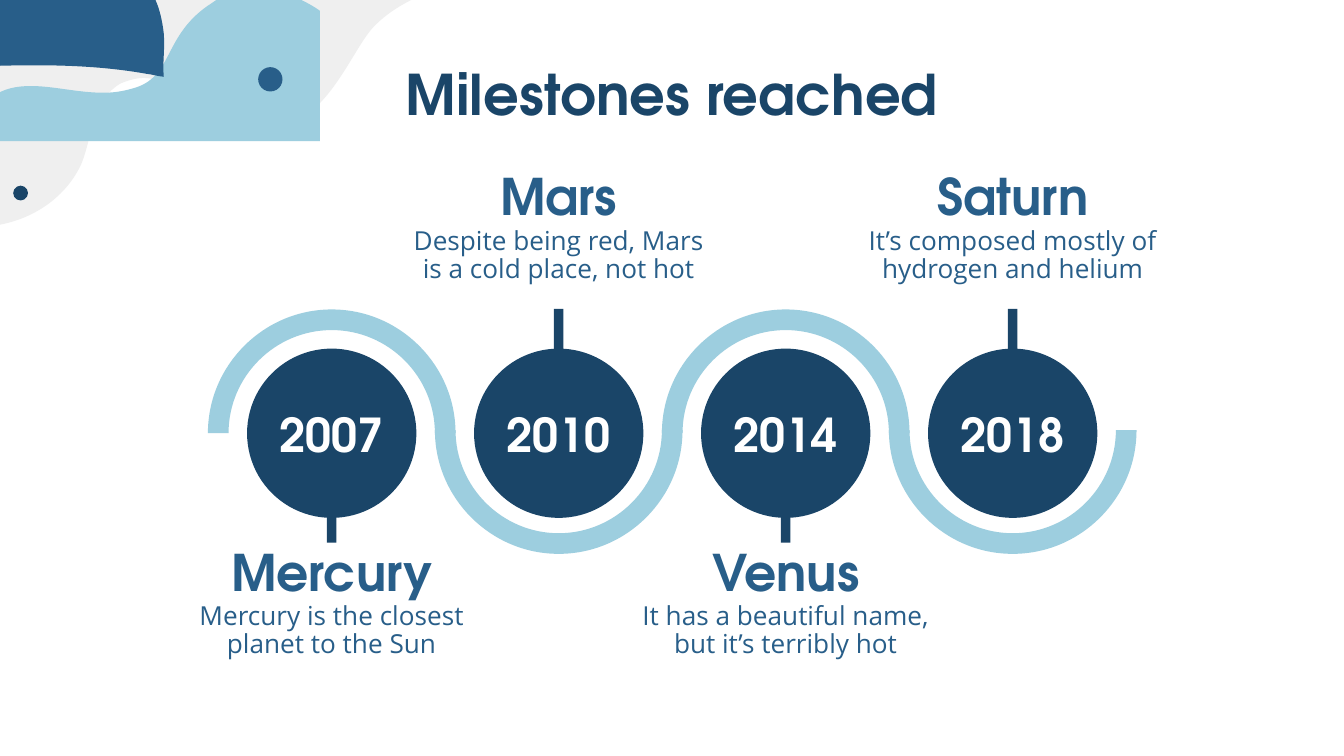
from lxml.etree import SubElement
from pptx import Presentation
from pptx.dml.color import RGBColor
from pptx.enum.shapes import MSO_SHAPE as Preset
from pptx.enum.text import MSO_ANCHOR as Anchor, PP_ALIGN as Align
from pptx.oxml.ns import qn
from pptx.util import Cm, Pt

NAVY = RGBColor(0x1A, 0x45, 0x68)
BLUE = RGBColor(0x28, 0x5E, 0x89)
SKY = RGBColor(0x9D, 0xCE, 0xDF)
GREY = RGBColor(0xEF, 0xEF, 0xEF)
WHITE = RGBColor(0xFF, 0xFF, 0xFF)

# Content
TITLE = "Milestones reached"
MILESTONES = [
    ("2007", "Mercury", "Mercury is the closest planet to the Sun"),
    ("2010", "Mars", "Despite being red, Mars is a cold place, not hot"),
    ("2014", "Venus", "It has a beautiful name, but it’s terribly hot"),
    ("2018", "Saturn", "It’s composed mostly of hydrogen and helium"),
]

# Text formats
HEAD_FONT, BODY_FONT = "TeX Gyre Adventor", "Open Sans"
TITLE_FORMAT = {"name": HEAD_FONT, "size": Pt(30), "bold": True}
PLANET_FORMAT = {"name": HEAD_FONT, "size": Pt(27), "bold": True}
YEAR_FORMAT = {"name": HEAD_FONT, "size": Pt(25), "bold": True}
BODY_FORMAT = {"name": BODY_FONT, "size": Pt(14), "bold": False}

# Corner blobs: colour, rotation, start point, then curves of three points
# or lines of one point, on a grid of one inch
GRID = Cm(2.54)
BLOBS = [
    (GREY, 0, (3.05, -0.13), [
        [(3.21, -0.13), (3.35, -0.12), (3.34, -0.09)],
        [(3.32, -0.06), (3.11, -0.02), (3.06, 0)],
        [(2.96, 0.05), (2.87, 0.11), (2.79, 0.19)],
        [(2.61, 0.37), (2.45, 0.91), (2, 0.98)],
        [(1.97, 0.98), (1.95, 0.98), (1.93, 0.98)],
        [(1.62, 0.98), (1.36, 0.7), (1.24, 0.63)],
        [(1.19, 0.6), (1.13, 0.58), (1.07, 0.58)],
        [(1.01, 0.58), (0.95, 0.6), (0.9, 0.62)],
        [(0.69, 0.74), (0.69, 1), (0.61, 1.21)],
        [(0.5, 1.46), (0.25, 1.64), (-0.05, 1.68)],
        [(-0.03, 1.12), (-0.07, 0.57), (-0.15, 0.02)],
        [(0.23, -0.04), (0.63, -0.06), (1.02, -0.07)],
        [(1.56, -0.08), (2.11, -0.1), (2.65, -0.12)],
        [(2.69, -0.12), (2.88, -0.13), (3.05, -0.13)],
    ]),
    (SKY, 180, (0.21, 1.05), [
        [(-0.05, 1.05), (-0.26, 0.89), (-0.26, 0.89)],
        [(-0.26, -0.08)],
        [(2.38, -0.08)],
        [(2.27, 0.26), (2.1, 0.33), (1.89, 0.33)],
        [(1.72, 0.33), (1.54, 0.28), (1.35, 0.28)],
        [(1.28, 0.28), (1.21, 0.29), (1.14, 0.31)],
        [(0.82, 0.39), (0.92, 0.71), (0.54, 0.95)],
        [(0.43, 1.03), (0.32, 1.05), (0.21, 1.05)],
    ]),
    (BLUE, 185.3, (0.7, 0.54), [
        [(0.75, 0.55), (0.79, 0.55), (0.84, 0.54)],
        [(1.03, 0.52), (1.21, 0.33), (1.24, 0.14)],
        [(1.26, 0), (1.22, -0.21), (1.07, -0.33)],
        [(1.01, -0.37), (0.96, -0.39), (0.91, -0.39)],
        [(0.87, -0.39), (0.83, -0.39), (0.79, -0.39)],
        [(0.33, -0.33), (-0.14, -0.27), (-0.61, -0.31)],
        [(-0.65, -0.31), (-0.69, -0.32), (-0.74, -0.32)],
        [(-0.72, -0.22), (-0.73, -0.11), (-0.71, 0)],
        [(-0.69, 0.1), (-0.64, 0.27), (-0.55, 0.33)],
        [(-0.52, 0.34), (-0.5, 0.35), (-0.47, 0.35)],
        [(-0.35, 0.36), (-0.22, 0.25), (-0.04, 0.26)],
        [(-0.03, 0.26), (-0.03, 0.26), (-0.02, 0.26)],
        [(0.22, 0.29), (0.41, 0.52), (0.7, 0.54)],
    ]),
]
# Dots: colour, centre x, centre y, diameter in cm
DOTS = [(BLUE, 5.11, 1.5, 0.46), (SKY, 2.55, 2.08, 0.28), (NAVY, 0.39, 3.65, 0.28)]

# Timeline geometry in cm
FIRST_X, STEP, CENTRE_Y = 6.27, 4.29, 8.19
DISC, OUTER, INNER = 3.2, 2.34, 1.95
ARC_HANDLE = 0.55  # handle length of a quarter circle, as a share of the radius
# Tops of the bar, the planet name and the description
BELOW, ABOVE = (9.27, 10.31, 11.15), (5.84, 3.2, 4.06)

presentation = Presentation()
presentation.slide_width, presentation.slide_height = Cm(25.4), Cm(14.29)
slide = presentation.slides.add_slide(presentation.slide_layouts[6])


def paint(shape, colour):
    shape.shadow.inherit = False
    shape.fill.solid()
    shape.fill.fore_color.rgb = colour
    shape.line.fill.background()


def add_preset(preset, centre_x, top, width, height, colour):
    shape = slide.shapes.add_shape(
        preset, Cm(centre_x - width / 2), Cm(top), Cm(width), Cm(height))
    paint(shape, colour)


def add_outline(start, segments, unit, colour, rotation=0):
    points = [start] + [point for segment in segments for point in segment]
    scaled = [(x * unit, y * unit) for x, y in points]
    builder = slide.shapes.build_freeform(*scaled[0])
    builder.add_line_segments(scaled[1:], close=True)
    shape = builder.convert_to_shape()
    paint(shape, colour)
    shape.rotation = rotation
    # Turn each run of three points into one curve
    outline = next(shape.element.iter(qn("a:path")))
    lines = iter(outline.findall(qn("a:lnTo")))
    for segment in segments:
        group = [next(lines) for _ in segment]
        if len(group) == 3:
            curve = SubElement(outline, qn("a:cubicBezTo"))
            group[0].addprevious(curve)
            for line in group:
                curve.append(line[0])
                outline.remove(line)


def half_ring(centre_x, edge_y, side):
    def half_circle(radius, turn):
        handle = radius * ARC_HANDLE
        arcs = [[(radius, handle), (handle, radius), (0, radius)],
                [(-handle, radius), (-radius, handle), (-radius, 0)]]
        return [[(centre_x + turn * x, edge_y + side * y) for x, y in arc]
                for arc in arcs]

    inner_start = [(centre_x - INNER, edge_y)]
    segments = [*half_circle(OUTER, 1), inner_start, *half_circle(INNER, -1)]
    return (centre_x + OUTER, edge_y), segments


def add_text(text, centre_x, top, width, height, colour, font_format,
             anchor=Anchor.MIDDLE, spacing=1.0):
    box = slide.shapes.add_textbox(
        Cm(centre_x - width / 2), Cm(top), Cm(width), Cm(height))
    frame = box.text_frame
    frame.word_wrap = True
    frame.vertical_anchor = anchor
    for side in ("left", "top", "right", "bottom"):
        setattr(frame, f"margin_{side}", Cm(0.25))
    paragraph = frame.paragraphs[0]
    paragraph.alignment = Align.CENTER
    paragraph.line_spacing = spacing
    run = paragraph.add_run()
    run.text = text
    for name, value in font_format.items():
        setattr(run.font, name, value)
    run.font.color.rgb = colour


# Corner decoration
for colour, rotation, start, segments in BLOBS:
    add_outline(start, segments, GRID, colour, rotation)
for colour, x, y, size in DOTS:
    add_preset(Preset.OVAL, x, y - size / 2, size, size, colour)

# Title
add_text(TITLE, 12.7, 1.02, 13.56, 1.6, NAVY, TITLE_FORMAT, Anchor.TOP, 0.9)

# Timeline: labels below and above take turns
for i, (year, planet, description) in enumerate(MILESTONES):
    x = FIRST_X + i * STEP
    is_above = i % 2 == 1
    bar_top, planet_top, body_top = ABOVE if is_above else BELOW
    add_preset(Preset.RECTANGLE, x, bar_top, 0.18, 0.99, NAVY)
    add_text(planet, x, planet_top, 4.7, 0.99, BLUE, PLANET_FORMAT)
    add_text(description, x, body_top, 6.25, 1.7, BLUE, BODY_FORMAT, Anchor.TOP, 0.9)
    edge_y, side = (CENTRE_Y - 0.06, 1) if is_above else (CENTRE_Y, -1)
    add_outline(*half_ring(x, edge_y, side), Cm(1), SKY)
    add_preset(Preset.OVAL, x, CENTRE_Y - DISC / 2, DISC, DISC, NAVY)
    add_text(year, x, 7.7, 3.22, 0.99, WHITE, YEAR_FORMAT)

presentation.save("out.pptx")
